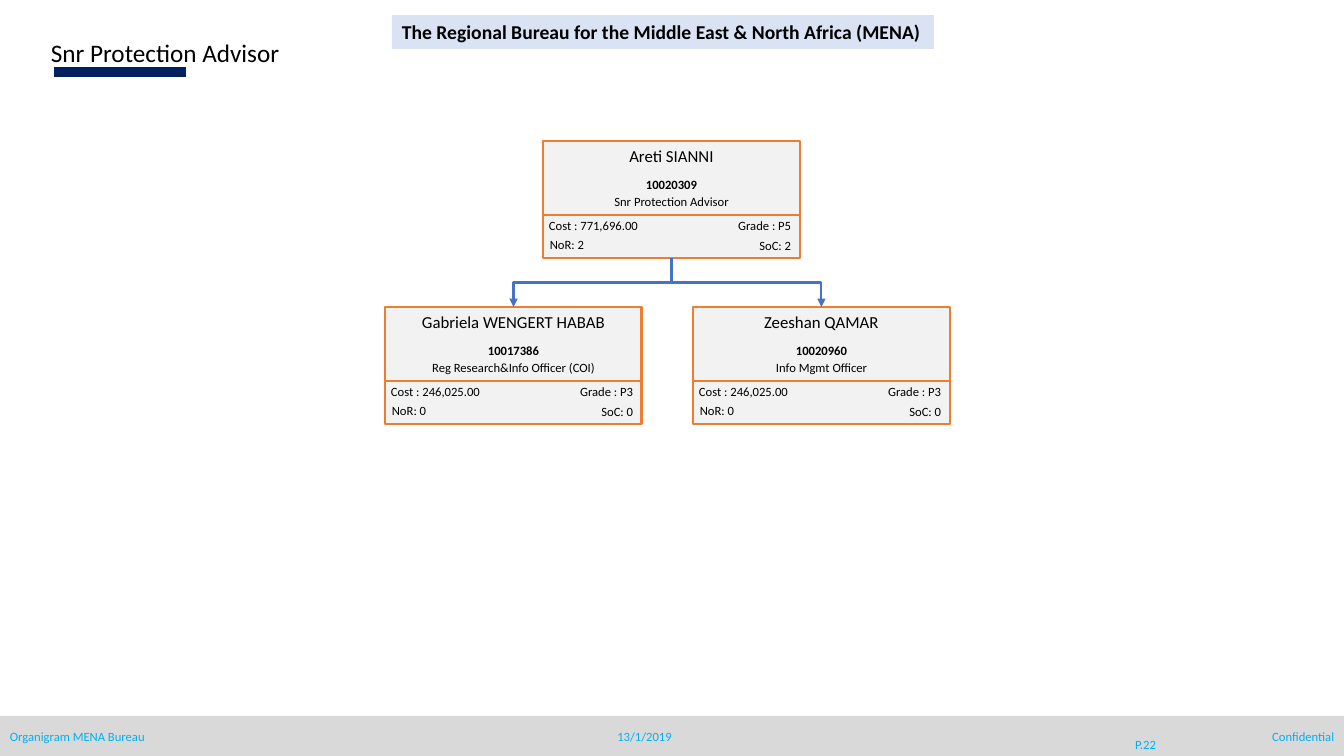
from lxml.etree import SubElement
from pptx import Presentation
from pptx.dml.color import RGBColor
from pptx.enum.shapes import MSO_CONNECTOR, MSO_SHAPE
from pptx.enum.text import MSO_ANCHOR, MSO_AUTO_SIZE, PP_ALIGN
from pptx.oxml.ns import qn
from pptx.util import Inches, Pt

PX = Inches(1) / 100.8
SLIDE_W, SLIDE_H = 1344, 756

BLACK = RGBColor(0x00, 0x00, 0x00)
NAVY = RGBColor(0x00, 0x20, 0x60)
SKY = RGBColor(0x00, 0xB0, 0xF0)
BLUE = RGBColor(0x44, 0x72, 0xC4)
ORANGE = RGBColor(0xED, 0x7D, 0x31)
PALE_BLUE = RGBColor(0xDA, 0xE3, 0xF3)
LIGHT_GREY = RGBColor(0xF2, 0xF2, 0xF2)
FOOTER_GREY = RGBColor(0xD9, 0xD9, 0xD9)

LEFT, CENTER, RIGHT = PP_ALIGN.LEFT, PP_ALIGN.CENTER, PP_ALIGN.RIGHT
TOP, MIDDLE = MSO_ANCHOR.TOP, MSO_ANCHOR.MIDDLE

# Content
BUREAU = "The Regional Bureau for the Middle East & North Africa (MENA)"
UNIT = "Snr Protection Advisor"
FOOTER = [  # text, left, width, height, alignment, anchor
    ("Organigram MENA Bureau", 0, 310, 25, LEFT, TOP),
    ("Confidential", 1034, 310, 25, RIGHT, TOP),
    ("P.22", 1105, 81, 40, CENTER, MIDDLE),
    ("13/1/2019", 600, 89, 25, CENTER, MIDDLE),
]
ADVISOR = dict(name="Areti SIANNI", number="10020309", role="Snr Protection Advisor",
               cost="Cost : 771,696.00", grade="Grade : P5", reports="NoR: 2", span="SoC: 2")
OFFICERS = [
    dict(name="Gabriela WENGERT HABAB", number="10017386",
         role="Reg Research&Info Officer (COI)", cost="Cost : 246,025.00",
         grade="Grade : P3", reports="NoR: 0", span="SoC: 0"),
    dict(name="Zeeshan QAMAR", number="10020960", role="Info Mgmt Officer",
         cost="Cost : 246,025.00", grade="Grade : P3", reports="NoR: 0", span="SoC: 0"),
]

# Card layout: field -> offset x, offset y, width, height, alignment, font
CARD_W, CARD_H, DIVIDER_Y = 257, 117, 74
ADVISOR_AT = (543, 141)
OFFICERS_AT, OFFICER_STEP = (385, 307), 308
NAME_FONT = dict(size=Pt(12))
NUMBER_FONT = dict(size=Pt(9), bold=True)
SMALL_FONT = dict(size=Pt(9))
CARD_FIELDS = {
    "name": (0, 0, 257, 31, CENTER, NAME_FONT),
    "number": (0, 31, 257, 25, CENTER, NUMBER_FONT),
    "role": (0, 48, 257, 25, CENTER, SMALL_FONT),
    "cost": (-4, 72, 124, 25, LEFT, SMALL_FONT),
    "grade": (135, 72, 123, 25, RIGHT, SMALL_FONT),
    "reports": (-3, 91, 80, 25, LEFT, SMALL_FONT),
    "span": (155, 92, 103, 25, RIGHT, SMALL_FONT),
}


def px(*lengths):
    return [round(length * PX) for length in lengths]


def write(holder, text, font, color=BLACK, align=LEFT, anchor=TOP, wrap=True):
    frame = holder.text_frame
    frame_format = dict(word_wrap=wrap, vertical_anchor=anchor,
                        auto_size=MSO_AUTO_SIZE.SHAPE_TO_FIT_TEXT)
    for key, value in frame_format.items():
        setattr(frame, key, value)
    paragraph = frame.paragraphs[0]
    paragraph.alignment = align
    run = paragraph.add_run()
    run.text = text
    for key, value in {"name": "Calibri", **font}.items():
        setattr(run.font, key, value)
    run.font.color.rgb = color


def add_label(slide, box, text, font, **text_format):
    write(slide.shapes.add_textbox(*px(*box)), text, font, **text_format)


def add_panel(slide, box, fill, outline=None):
    panel = slide.shapes.add_shape(MSO_SHAPE.RECTANGLE, *px(*box))
    panel.shadow.inherit = False
    panel.fill.solid()
    panel.fill.fore_color.rgb = fill
    if outline is None:
        panel.line.fill.background()
    else:
        panel.line.color.rgb = outline
        panel.line.width = Pt(2)
    return panel


def add_rule(slide, start, end, color, width, kind=MSO_CONNECTOR.STRAIGHT):
    rule = slide.shapes.add_connector(kind, *px(*start, *end))
    rule.line.color.rgb = color
    rule.line.width = Pt(width)
    SubElement(rule._element.spPr, qn("a:effectLst"))
    return rule


def add_card(slide, person, left, top):
    card = add_panel(slide, (left, top, CARD_W, CARD_H), LIGHT_GREY, ORANGE)
    for field, (dx, dy, width, height, align, font) in CARD_FIELDS.items():
        add_label(slide, (left + dx, top + dy, width, height), person[field], font, align=align)
    divider_y = top + DIVIDER_Y
    add_rule(slide, (left, divider_y), (left + CARD_W, divider_y), ORANGE, 1)
    return card


def add_reporting_line(slide, manager, officer):
    """Elbow arrow that leaves the manager downwards and bends halfway."""
    arrow = add_rule(slide, (0, 0), (1, 1), BLUE, 1.5, MSO_CONNECTOR.ELBOW)
    arrow.begin_connect(manager, 2)
    arrow.end_connect(officer, 0)
    start_x, start_y = arrow.begin_x, arrow.begin_y
    end_x, end_y = arrow.end_x, arrow.end_y
    drop, reach = end_y - start_y, abs(end_x - start_x)
    turned_box = dict(left=(start_x + end_x - drop) // 2, top=(start_y + end_y - reach) // 2,
                      width=drop, height=reach)
    for key, value in turned_box.items():
        setattr(arrow, key, value)
    goes_right = end_x > start_x
    turn = dict(rot="16200000" if goes_right else "5400000",
                flipH="1" if goes_right else "0", flipV="0")
    for key, value in turn.items():
        arrow._element.spPr.find(qn("a:xfrm")).set(key, value)
    SubElement(arrow.line._get_or_add_ln(), qn("a:tailEnd"), type="triangle")


def main():
    deck = Presentation()
    deck.slide_width, deck.slide_height = px(SLIDE_W, SLIDE_H)
    slide = deck.slides.add_slide(deck.slide_layouts[6])

    # Title with its underline
    add_rule(slide, (54, 72), (186, 72), NAVY, 7)
    add_label(slide, (41, 32, 534, 41), UNIT, dict(size=Pt(18)))

    # Footer
    add_panel(slide, (0, 716, SLIDE_W, 40), FOOTER_GREY)
    for text, left, width, height, align, anchor in FOOTER:
        add_label(slide, (left, 724, width, height), text, SMALL_FONT,
                  color=SKY, align=align, anchor=anchor)

    # Organigram
    advisor = add_card(slide, ADVISOR, *ADVISOR_AT)
    first_left, officers_top = OFFICERS_AT
    officers = [add_card(slide, person, first_left + i * OFFICER_STEP, officers_top)
                for i, person in enumerate(OFFICERS)]
    for officer in officers:
        add_reporting_line(slide, advisor, officer)

    # Bureau banner
    banner = add_panel(slide, (392, 15, 542, 34), PALE_BLUE)
    write(banner, BUREAU, dict(size=Pt(14), bold=True), wrap=False)

    deck.save("out.pptx")


if __name__ == "__main__":
    main()
